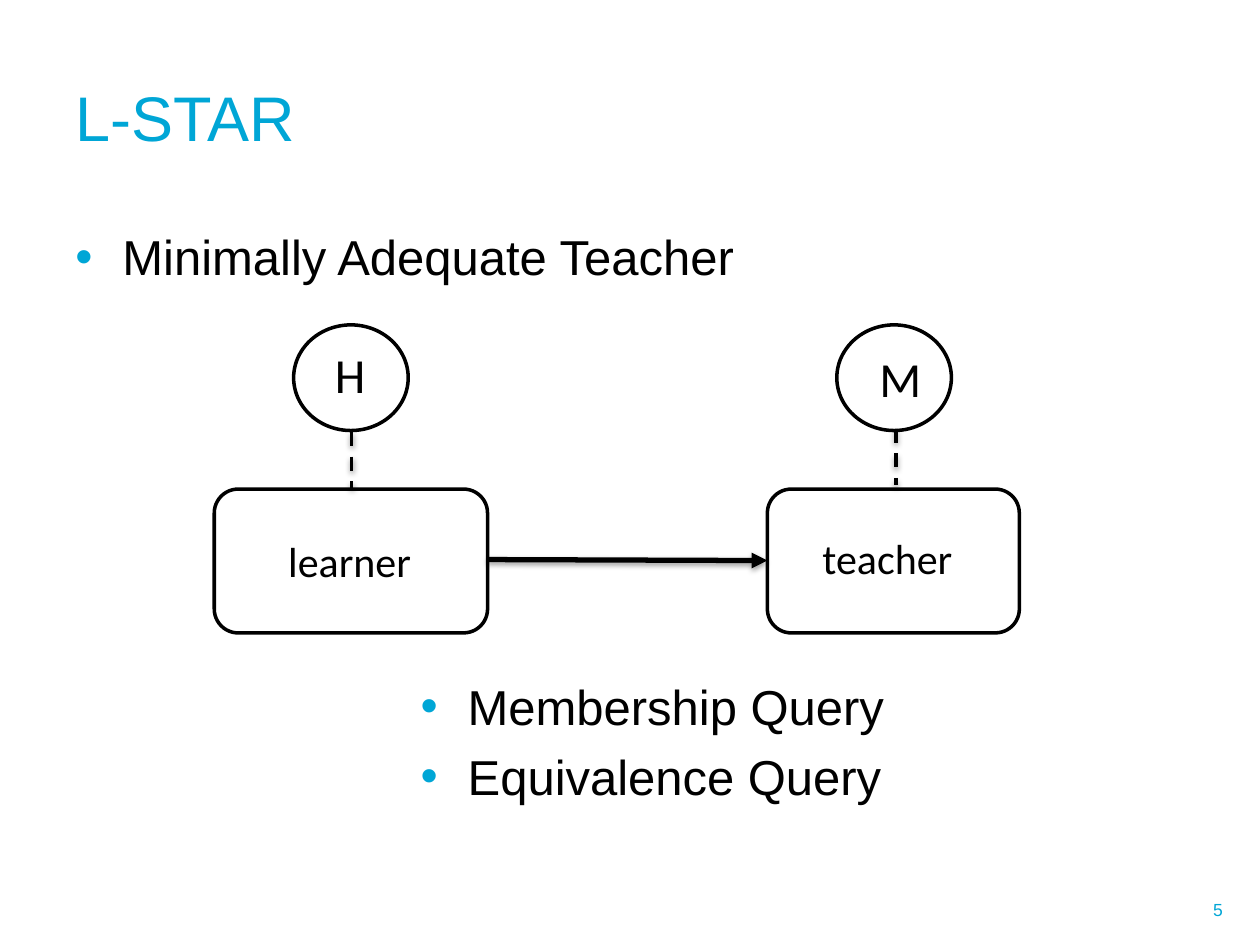
import pptx
import pptx.dml.color
import pptx.enum.dml
import pptx.enum.shapes
import pptx.enum.text
import pptx.oxml
import pptx.oxml.ns
import pptx.util
from pptx.util import Cm

CYAN = pptx.dml.color.RGBColor(0x00, 0xA6, 0xD6)
BLACK = pptx.dml.color.RGBColor(0x00, 0x00, 0x00)
WHITE = pptx.dml.color.RGBColor(0xFF, 0xFF, 0xFF)

MSO_SHAPE = pptx.enum.shapes.MSO_SHAPE
ANCHOR = pptx.enum.text.MSO_ANCHOR
ALIGN = pptx.enum.text.PP_ALIGN
FIT_TEXT = pptx.enum.text.MSO_AUTO_SIZE.SHAPE_TO_FIT_TEXT

NAMESPACE = pptx.oxml.ns.nsdecls("a")
BULLET_INDENT = Cm(0.95)


def set_attributes(target, values):
    for name, value in values.items():
        setattr(target, name, value)


def add_text(slide, box, lines, size, font="Arial", color=BLACK, frame=None, paragraph=None):
    """Add a text box in the given box (cm) and return its paragraphs."""
    text_frame = slide.shapes.add_textbox(*map(Cm, box)).text_frame
    set_attributes(text_frame, {"word_wrap": True, **(frame or {})})
    text_frame.text = "\n".join(lines)
    for line in text_frame.paragraphs:
        set_attributes(line, paragraph or {})
        set_attributes(line.runs[0].font, {"name": font, "size": pptx.util.Pt(size)})
        line.runs[0].font.color.rgb = color
    return text_frame.paragraphs


def add_bullets(slide, box, lines):
    spacing = {"space_before": pptx.util.Pt(6.5)}
    for line in add_text(slide, box, lines, 28, paragraph=spacing):
        properties = line._p.get_or_add_pPr()
        properties.set("marL", str(BULLET_INDENT))
        properties.set("indent", str(-BULLET_INDENT))
        for xml in (
            f'<a:buClr {NAMESPACE}><a:srgbClr val="{CYAN}"/></a:buClr>',
            f'<a:buFont {NAMESPACE} typeface="Arial"/>',
            f'<a:buChar {NAMESPACE} char="•"/>',
        ):
            properties.append(pptx.oxml.parse_xml(xml))


def add_label(slide, box, text, size):
    add_text(slide, box, [text], size, font="Calibri", frame={"auto_size": FIT_TEXT})


def add_node(slide, kind, box):
    node = slide.shapes.add_shape(kind, *map(Cm, box))
    node.shadow.inherit = False
    node.fill.solid()
    node.fill.fore_color.rgb = WHITE
    node.line.color.rgb = BLACK
    node.line.width = pptx.util.Pt(2)


def add_link(slide, ends, width, dashed=False, arrow=False):
    """Add a straight line with a soft shadow below it."""
    link = slide.shapes.add_connector(
        pptx.enum.shapes.MSO_CONNECTOR.STRAIGHT, *map(Cm, ends))
    link.line.color.rgb = BLACK
    link.line.width = pptx.util.Pt(width)
    if dashed:
        link.line.dash_style = pptx.enum.dml.MSO_LINE.DASH
    if arrow:
        link.line._get_or_add_ln().append(
            pptx.oxml.parse_xml(f'<a:tailEnd {NAMESPACE} type="triangle"/>'))
    link._element.spPr.append(pptx.oxml.parse_xml(
        f'<a:effectLst {NAMESPACE}>'
        '<a:outerShdw blurRad="40000" dist="20000" dir="5400000" rotWithShape="0">'
        '<a:srgbClr val="000000"><a:alpha val="38000"/></a:srgbClr>'
        '</a:outerShdw></a:effectLst>'))


def add_diagram(slide):
    for left, width in ((4.32, 5.51), (15.47, 5.08)):
        add_node(slide, MSO_SHAPE.ROUNDED_RECTANGLE, (left, 9.86, width, 2.9))
    for left in (5.92, 16.87):
        add_node(slide, MSO_SHAPE.OVAL, (left, 6.55, 2.31, 2.13))
    for x, top in ((7.09, 8.71), (18.06, 8.64)):
        add_link(slide, (x, top, x, top + 1.14), 2, dashed=True)

    for text, left, top in (("H", 6.5, 6.83), ("M", 17.48, 6.91)):
        add_label(slide, (left, top, 1.07, 1.45), text, 28)
    for text, left, top in (("learner", 5.56, 10.67), ("teacher", 16.33, 10.62)):
        add_label(slide, (left, top, 4.72, 1.27), text, 24)
    add_link(slide, (9.83, 11.28, 15.47, 11.3), 3, arrow=True)


def main():
    deck = pptx.Presentation()
    set_attributes(deck, {"slide_width": Cm(25.4), "slide_height": Cm(19.05)})
    slide = deck.slides.add_slide(deck.slide_layouts[6])
    middle = {"vertical_anchor": ANCHOR.MIDDLE}

    add_text(slide, (18.47, 17.83, 6.43, 1.02), ["5"], 10, color=CYAN,
             frame=middle, paragraph={"alignment": ALIGN.RIGHT})
    add_text(slide, (1.27, 0.76, 23.22, 3.18), ["L-STAR"], 36, color=CYAN, frame=middle)
    add_bullets(slide, (1.27, 4.45, 23.22, 12.57), ["Minimally Adequate Teacher"])
    add_diagram(slide)
    add_bullets(slide, (8.23, 13.51, 16.5, 3.2), ["Membership Query", "Equivalence Query"])
    deck.save("out.pptx")


if __name__ == "__main__":
    main()
